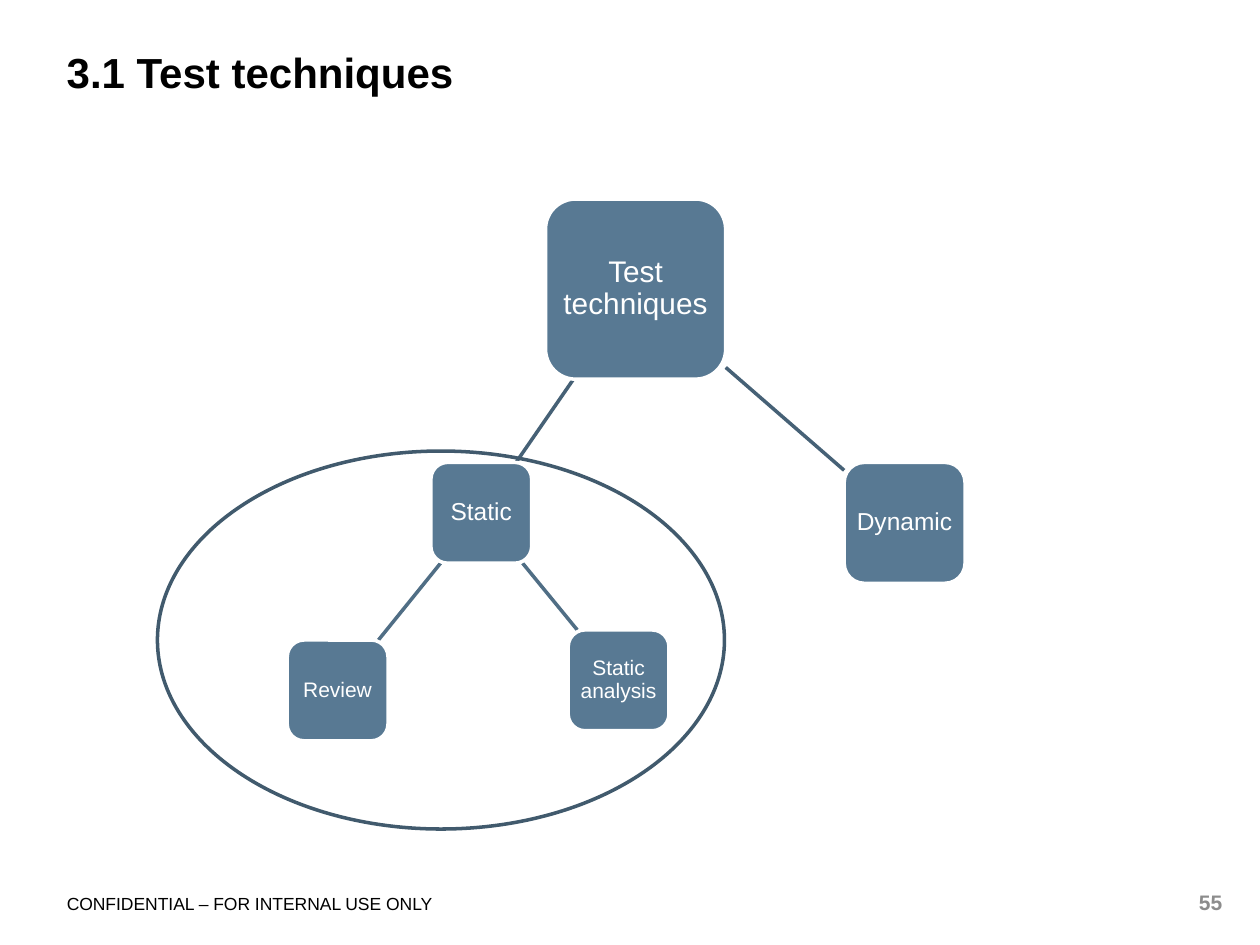
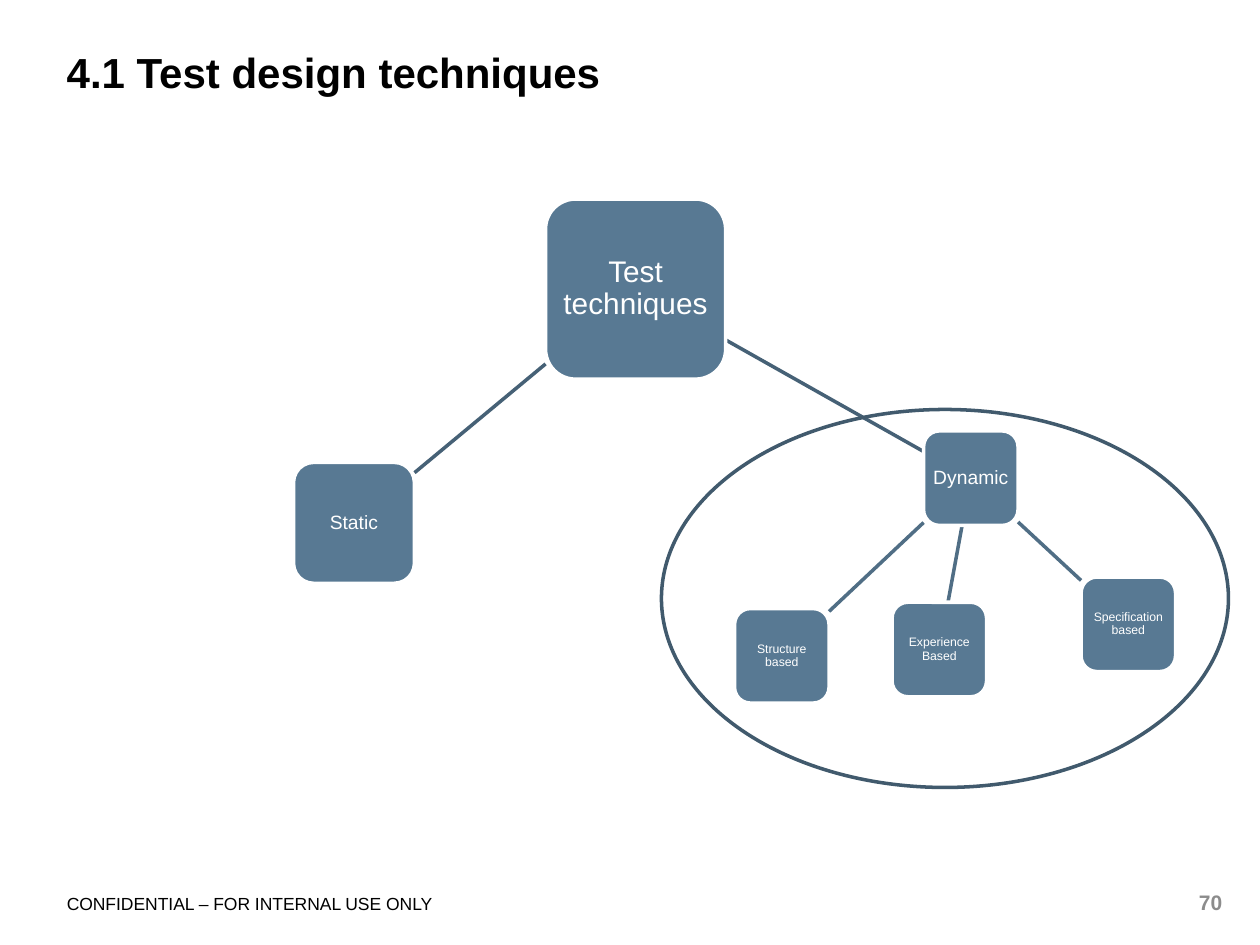
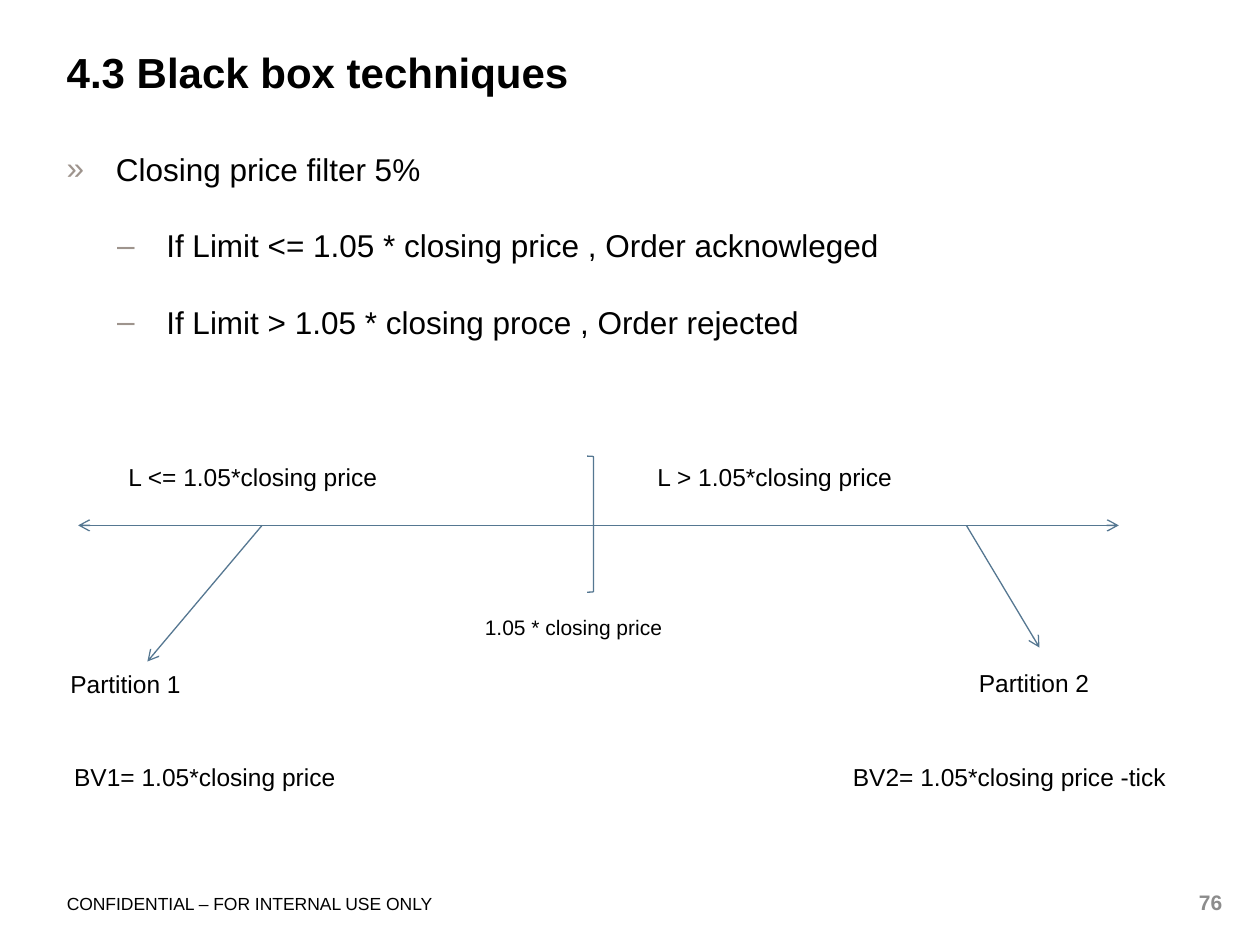
from lxml import etree
from pptx import Presentation
from pptx import util as u
from pptx.dml.color import RGBColor
from pptx.enum import shapes, text
from pptx.oxml import ns

Inches = u.Inches
BLACK = RGBColor(0x00, 0x00, 0x00)
WHITE = RGBColor(0xFF, 0xFF, 0xFF)
GREY = RGBColor(0x8C, 0x8C, 0x8C)
NODE = RGBColor(0x58, 0x79, 0x93)
BRANCH = RGBColor(0x46, 0x61, 0x76)
TWIG = RGBColor(0x50, 0x6E, 0x85)
RING = RGBColor(0x41, 0x5A, 0x6D)
AXIS = RGBColor(0x55, 0x77, 0x91)
BULLET = "9E948D"
LEFT = text.PP_ALIGN.LEFT
CENTER = text.PP_ALIGN.CENTER
RIGHT = text.PP_ALIGN.RIGHT
MARGINS = ("margin_left", "margin_top", "margin_right", "margin_bottom")


def write(shape, lines, size, color=BLACK, bold=False, align=LEFT, margins=(0, 0, 0, 0)):
    frame = shape.text_frame
    frame.word_wrap = True
    for name, margin in zip(MARGINS, margins):
        setattr(frame, name, Inches(margin))
    for index, line in enumerate(lines):
        paragraph = frame.paragraphs[0] if index == 0 else frame.add_paragraph()
        paragraph.alignment = align
        run = paragraph.add_run()
        run.text = line
        font_format = {"name": "Arial", "size": u.Pt(size), "bold": bold}
        for name, value in font_format.items():
            setattr(run.font, name, value)
        run.font.color.rgb = color
    return frame


def connect(slide, start, end, color, width, **arrowheads):
    points = [Inches(value) for value in (*start, *end)]
    line = slide.shapes.add_connector(shapes.MSO_CONNECTOR.STRAIGHT, *points)
    line.line.color.rgb = color
    line.line.width = u.Pt(width)
    for tag, kind in arrowheads.items():
        etree.SubElement(line.line._get_or_add_ln(), ns.qn("a:" + tag), type=kind)
    etree.SubElement(line._element.spPr, ns.qn("a:effectLst"))


presentation = Presentation()
presentation.slide_width = Inches(10)
presentation.slide_height = Inches(7.5)

# Title, footer and page number of every slide
slides = []
for title, page in [
    ("3.1 Test techniques", "55"),
    ("4.1 Test design techniques", "70"),
    ("4.3 Black box techniques", "76"),
]:
    slide = presentation.slides.add_slide(presentation.slide_layouts[6])
    slides.append(slide)
    for line, box, style in [
        ("CONFIDENTIAL – FOR INTERNAL USE ONLY", (0.53, 7.09, 4.42, 0.2), {"size": 10}),
        (title, (0.53, 0.37, 9.17, 0.79), {"size": 24, "bold": True}),
        (page, (9.31, 7.06, 0.39, 0.2),
         {"size": 12, "bold": True, "color": GREY, "align": RIGHT}),
    ]:
        textbox = slide.shapes.add_textbox(*[Inches(value) for value in box])
        write(textbox, [line], **style)

# Trees: node text -> (left, top, side, font size, margin, parent)
ROOT = "Test techniques"
static_tree = {
    ROOT: (4.33, 1.58, 1.43, 17, 0.05, None),
    "Static": (3.42, 3.67, 0.8, 14, 0.04, ROOT),
    "Review": (2.28, 5.08, 0.8, 12, 0.03, "Static"),
    "Static analysis": (4.51, 5, 0.8, 12, 0.03, "Static"),
    "Dynamic": (6.7, 3.67, 0.96, 14, 0.04, ROOT),
}
dynamic_tree = {
    ROOT: (4.33, 1.58, 1.43, 17, 0.05, None),
    "Dynamic": (7.33, 3.42, 0.75, 11, 0.03, ROOT),
    "Experience Based": (7.08, 4.78, 0.75, 7, 0.02, "Dynamic"),
    "Specification based": (8.58, 4.58, 0.75, 7, 0.02, "Dynamic"),
    "Structure based": (5.83, 4.83, 0.75, 7, 0.02, "Dynamic"),
    "Static": (2.33, 3.67, 0.96, 11, 0.03, ROOT),
}
for slide, tree, ring_at in [
    (slides[0], static_tree, (1.25, 3.58)),
    (slides[1], dynamic_tree, (5.25, 3.25)),
]:
    # Links follow the line between centres and stop at the node edges
    for left, top, side, size, margin, parent in tree.values():
        if parent is None:
            continue
        parent_left, parent_top, parent_side = tree[parent][:3]
        start_x, start_y = parent_left + parent_side / 2, parent_top + parent_side / 2
        end_x, end_y = left + side / 2, top + side / 2
        run_x, run_y = end_x - start_x, end_y - start_y
        reach = max(abs(run_x), abs(run_y))
        leave, arrive = parent_side / 2 / reach, side / 2 / reach
        connect(slide, (start_x + run_x * leave, start_y + run_y * leave),
                (end_x - run_x * arrive, end_y - run_y * arrive),
                BRANCH if parent == ROOT else TWIG, 2)

    # Nodes
    for label, (left, top, side, size, margin, parent) in tree.items():
        node = slide.shapes.add_shape(
            shapes.MSO_SHAPE.ROUNDED_RECTANGLE,
            Inches(left), Inches(top), Inches(side), Inches(side))
        node.shadow.inherit = False
        node.fill.solid()
        node.fill.fore_color.rgb = NODE
        node.line.color.rgb = WHITE
        node.line.width = u.Pt(2)
        frame = write(node, [label], size, WHITE, align=CENTER, margins=[margin] * 4)
        frame.vertical_anchor = text.MSO_ANCHOR.MIDDLE
        frame.paragraphs[0].line_spacing = 0.9

    # Ring around the branch in focus
    ring = slide.shapes.add_shape(
        shapes.MSO_SHAPE.OVAL, *[Inches(value) for value in (*ring_at, 4.5, 3)])
    ring.shadow.inherit = False
    ring.fill.background()
    ring.line.color.rgb = RING
    ring.line.width = u.Pt(2)

# Price filter rules
slide = slides[2]
body = slide.shapes.add_textbox(Inches(0.53), Inches(1.19), Inches(9.17), Inches(5.81))
rules = [
    "Closing price filter 5%",
    "If Limit <= 1.05 * closing price , Order acknowleged",
    "If Limit > 1.05 * closing proce , Order rejected",
]
frame = write(body, rules, 18)
for paragraph, level, mark in zip(frame.paragraphs, (0, 1, 1), "»––"):
    paragraph.level = level
    paragraph.space_before = u.Pt(22)
    properties = paragraph._p.get_or_add_pPr()
    properties.set("marL", str(Inches(0.39 + 0.4 * level)))
    properties.set("indent", str(-Inches(0.39)))
    bullet_color = etree.SubElement(properties, ns.qn("a:buClr"))
    etree.SubElement(bullet_color, ns.qn("a:srgbClr"), val=BULLET)
    etree.SubElement(properties, ns.qn("a:buFont"), typeface="Arial")
    etree.SubElement(properties, ns.qn("a:buChar"), char=mark)

# Price axis with its boundary and partition arrows
connect(slide, (0.62, 4.17), (8.88, 4.17), AXIS, 0.75, headEnd="arrow", tailEnd="arrow")
boundary = slide.shapes.add_shape(
    shapes.MSO_SHAPE.RIGHT_BRACKET, Inches(4.66), Inches(3.62), Inches(0.05), Inches(1.08))
boundary.shadow.inherit = False
boundary.fill.background()
boundary.line.color.rgb = AXIS
boundary.line.width = u.Pt(0.75)
connect(slide, (2.08, 4.17), (1.17, 5.25), AXIS, 0.75, tailEnd="arrow")
connect(slide, (7.67, 4.17), (8.25, 5.14), AXIS, 0.75, tailEnd="arrow")

# Axis labels
for label, left, top, width, size in [
    ("1.05 * closing price", 3.75, 4.83, 2, 12),
    ("Partition 1", 0.46, 5.26, 1.17, 14),
    ("Partition 2", 7.67, 5.25, 1.17, 14),
    ("L <= 1.05*closing price", 0.92, 3.62, 2.54, 14),
    ("L > 1.05*closing price", 5.12, 3.62, 2.54, 14),
    ("BV1= 1.05*closing price", 0.49, 6, 2.34, 14),
    ("BV2= 1.05*closing price -tick", 6.67, 6, 2.75, 14),
]:
    height = 0.3 if size == 12 else 0.34
    textbox = slide.shapes.add_textbox(
        Inches(left), Inches(top), Inches(width), Inches(height))
    write(textbox, [label], size, margins=(0.1, 0.05, 0.1, 0.05))

presentation.save("out.pptx")
